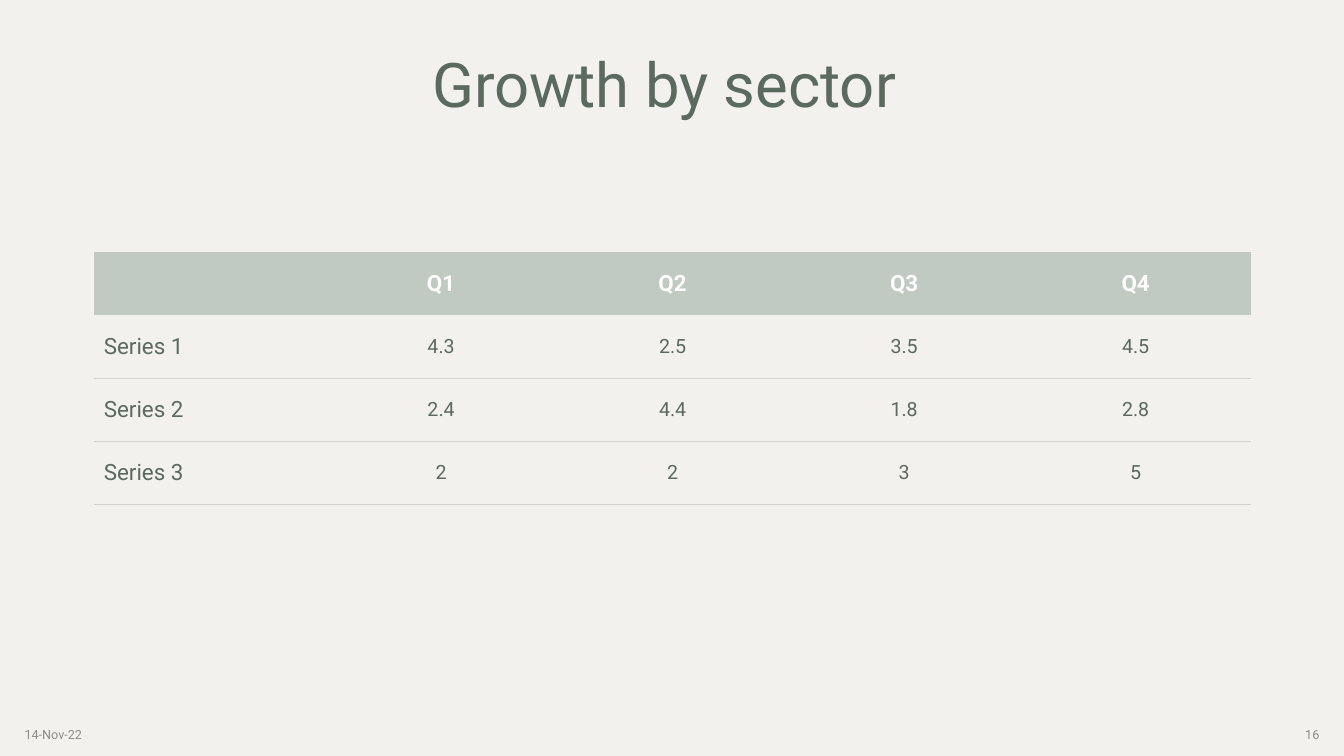
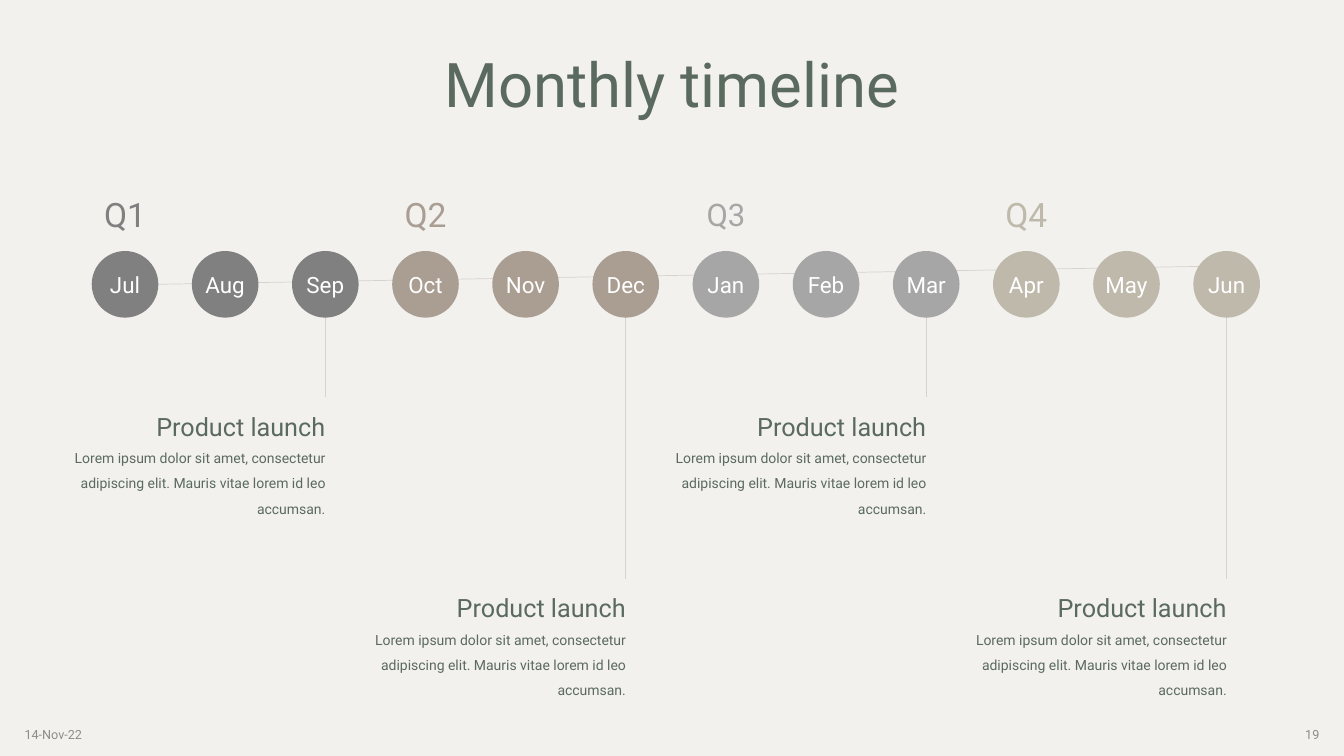
from lxml import etree
from pptx import Presentation
from pptx.dml.color import RGBColor
from pptx.enum import shapes as es, text as et
from pptx.oxml import parse_xml
from pptx.oxml.ns import nsdecls, qn
from pptx.util import Pt

# Shared look
PAPER = RGBColor(0xF2, 0xF1, 0xEE)
GREEN = RGBColor(0x5B, 0x6A, 0x5E)
SAGE = RGBColor(0xC0, 0xC9, 0xC2)
RULE = RGBColor(0xD8, 0xD2, 0xCD)
MUTED = RGBColor(0x8C, 0x8C, 0x8C)
WHITE = RGBColor(0xFF, 0xFF, 0xFF)
SLATE = RGBColor(0x80, 0x80, 0x80)
TAUPE = RGBColor(0xAA, 0x9D, 0x92)
SILVER = RGBColor(0xA6, 0xA6, 0xA6)
SAND = RGBColor(0xBE, 0xB9, 0xAA)
FACE = "Roboto"
HAIR = 0.5
WIDE, HIGH = 960, 540
LEFT, MID, RIGHT = et.PP_ALIGN.LEFT, et.PP_ALIGN.CENTER, et.PP_ALIGN.RIGHT
TOP, MIDDLE = et.MSO_ANCHOR.TOP, et.MSO_ANCHOR.MIDDLE
NO_STYLE = "{2D5ABB26-0587-4C30-8999-92F81FD0307C}"

# Content
DATE = "14-Nov-22"
GRID = [
    ["", "Q1", "Q2", "Q3", "Q4"],
    ["Series 1", "4.3", "2.5", "3.5", "4.5"],
    ["Series 2", "2.4", "4.4", "1.8", "2.8"],
    ["Series 3", "2", "2", "3", "5"],
]
QUARTERS = [
    ("Q1", SLATE, 24, ["Jul", "Aug", "Sep"]),
    ("Q2", TAUPE, 24, ["Oct", "Nov", "Dec"]),
    ("Q3", SILVER, 22.2, ["Jan", "Feb", "Mar"]),
    ("Q4", SAND, 24, ["Apr", "May", "Jun"]),
]
EVENT = "Product launch"
NOTE = ("Lorem ipsum dolor sit amet, consectetur adipiscing elit. "
        "Mauris vitae lorem id leo accumsan.")


def style(para, size, color, align=LEFT, space=None, bold=False):
    font = para.font
    font.name, font.size, font.bold = FACE, Pt(size), bold
    font.color.rgb = color
    para.alignment = align
    if space:
        para.line_spacing = space


def add_text(slide, box, lines, anchor=TOP, inset=7.2):
    """Each line is (wording, *style arguments)."""
    frame = slide.shapes.add_textbox(*map(Pt, box)).text_frame
    frame.word_wrap = True
    frame.vertical_anchor = anchor
    frame.margin_right = Pt(inset)
    for i, (words, *look) in enumerate(lines):
        para = frame.add_paragraph() if i else frame.paragraphs[0]
        para.text = words
        style(para, *look)


def add_line(slide, x1, y1, x2, y2):
    line = slide.shapes.add_connector(
        es.MSO_CONNECTOR.STRAIGHT, *map(Pt, (x1, y1, x2, y2)))
    line.line.color.rgb = RULE
    line.line.width = Pt(HAIR)
    etree.SubElement(line._element.spPr, qn("a:effectLst"))


def new_slide(prs, title, page):
    """Title, date and page number."""
    slide = prs.slides.add_slide(prs.slide_layouts[5])
    head = slide.shapes.title
    head.left, head.top, head.width, head.height = map(Pt, (66.5, 10, 827, 105.5))
    frame = head.text_frame
    frame.text = title
    frame.auto_size = et.MSO_AUTO_SIZE.NONE
    frame.vertical_anchor = MIDDLE
    style(frame.paragraphs[0], 44, GREEN, MID, 0.9)

    edge, wide, top, high = 10.5, 216, 510.5, 28.8
    add_text(slide, (edge, top, wide, high), [(DATE, 9, MUTED)], MIDDLE)
    add_text(slide, (WIDE - edge - wide, top, wide, high),
             [(str(page), 9, MUTED, RIGHT)], MIDDLE)
    return slide


def rule_below(cell):
    """Hairline under a table cell."""
    cell._tc.get_or_add_tcPr().insert(0, parse_xml(
        f'<a:lnB {nsdecls("a")} w="{Pt(HAIR)}"><a:solidFill>'
        f'<a:srgbClr val="{RULE}"/></a:solidFill></a:lnB>'))


def add_grid(slide, box, rows):
    table = slide.shapes.add_table(
        len(rows), len(rows[0]), *map(Pt, box)).table
    table._tbl.tblPr.find(qn("a:tableStyleId")).text = NO_STYLE
    table.horz_banding = False
    for r, row in enumerate(rows):
        for c, words in enumerate(row):
            cell = table.cell(r, c)
            cell.text = words
            cell.vertical_anchor = MIDDLE
            para = cell.text_frame.paragraphs[0]
            if r == 0:
                cell.fill.solid()
                cell.fill.fore_color.rgb = SAGE
                style(para, 16, WHITE, MID, bold=True)
            else:
                cell.fill.background()
                rule_below(cell)
                style(para, 14 if c else 16, GREEN, MID if c else LEFT)


def add_month(slide, x, y, size, name, color):
    dot = slide.shapes.add_shape(
        es.MSO_SHAPE.OVAL, *map(Pt, (x, y, size, size)))
    dot.shadow.inherit = False
    dot.fill.solid()
    dot.fill.fore_color.rgb = color
    dot.line.fill.background()
    frame = dot.text_frame
    frame.word_wrap = False
    frame.vertical_anchor = MIDDLE
    frame.margin_left = frame.margin_right = 0
    frame.text = name
    style(frame.paragraphs[0], 16, WHITE, MID)


def add_event(slide, x, y, end):
    """Stem from the last month of a quarter, with its note at the foot."""
    wide = 194.4
    add_line(slide, x, y, x, end)
    add_text(slide, (x - wide, end + 6.4, wide, 81.4),
             [(EVENT, 18, GREEN, RIGHT), (NOTE, 10, GREEN, RIGHT, 1.5)], inset=0)


def add_months(slide, box):
    """Row of months in the box, quarter names above, events below."""
    left, top, width, size = box
    count = sum(len(names) for *_, names in QUARTERS)
    step = (width - size) / (count - 1)
    mid = top + size / 2
    add_line(slide, left + size, mid, left + width - size / 2, top + 10.7)
    i = 0
    for q, (label, color, points, names) in enumerate(QUARTERS):
        add_text(slide, (left + i * step, top - 44.6, size, 39.6),
                 [(label, points, color, MID, 0.9)], MIDDLE)
        stem = left + (i + len(names) - 1) * step + size / 2
        add_event(slide, stem, mid, top + (234 if q % 2 else 104.4))
        for name in names:
            add_month(slide, left + i * step, top, size, name, color)
            i += 1


def main():
    prs = Presentation()
    prs.slide_width, prs.slide_height = Pt(WIDE), Pt(HIGH)
    back = prs.slide_master.background.fill
    back.solid()
    back.fore_color.rgb = PAPER

    # The trailing space belongs to the title's wording
    growth = new_slide(prs, "Growth by sector ", 16)
    add_grid(growth, (67, 180, 827, 180), GRID)

    plan = new_slide(prs, "Monthly timeline", 19)
    add_months(plan, (65.5, 179.3, 834.5, 47.6))

    prs.save("out.pptx")


if __name__ == "__main__":
    main()
